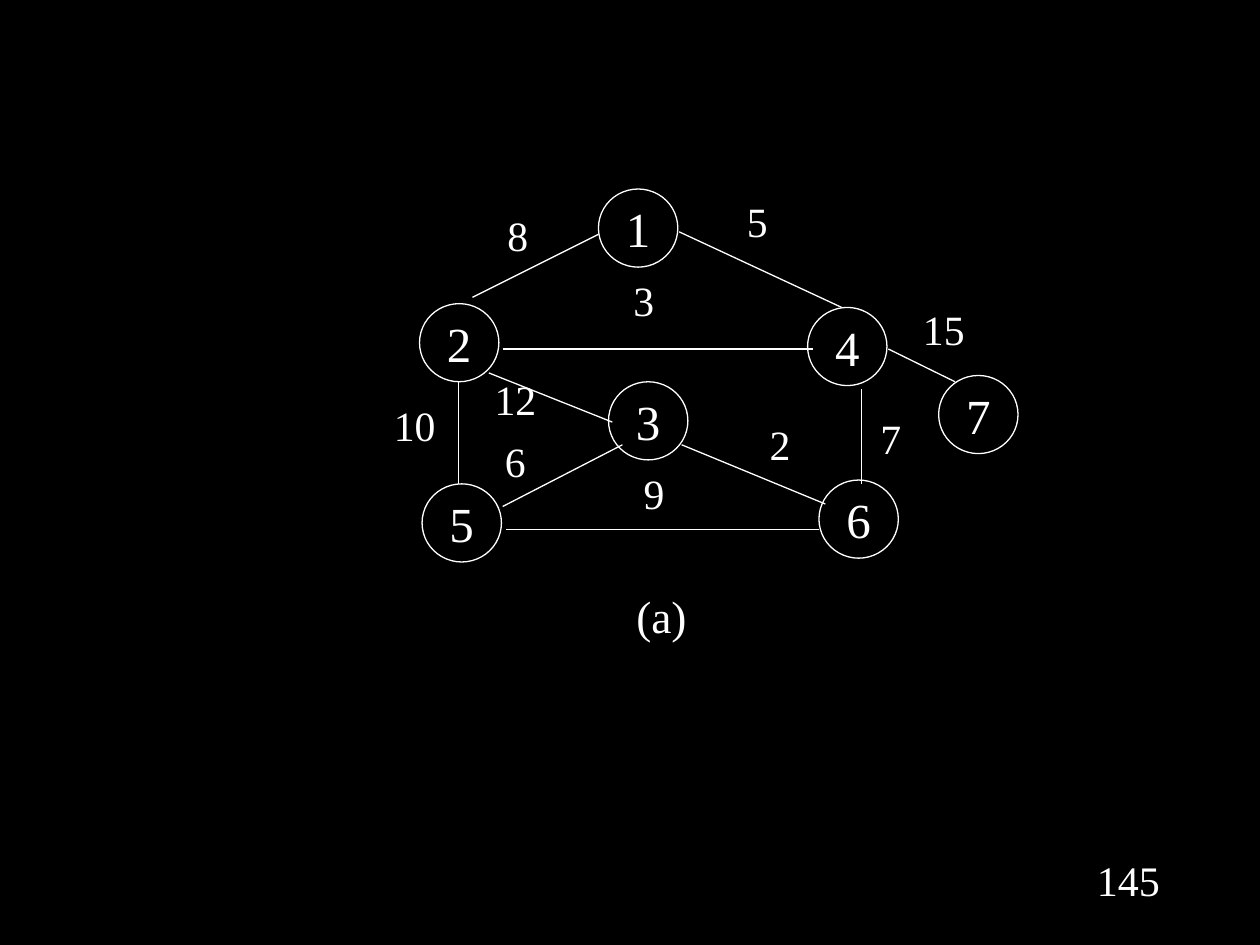
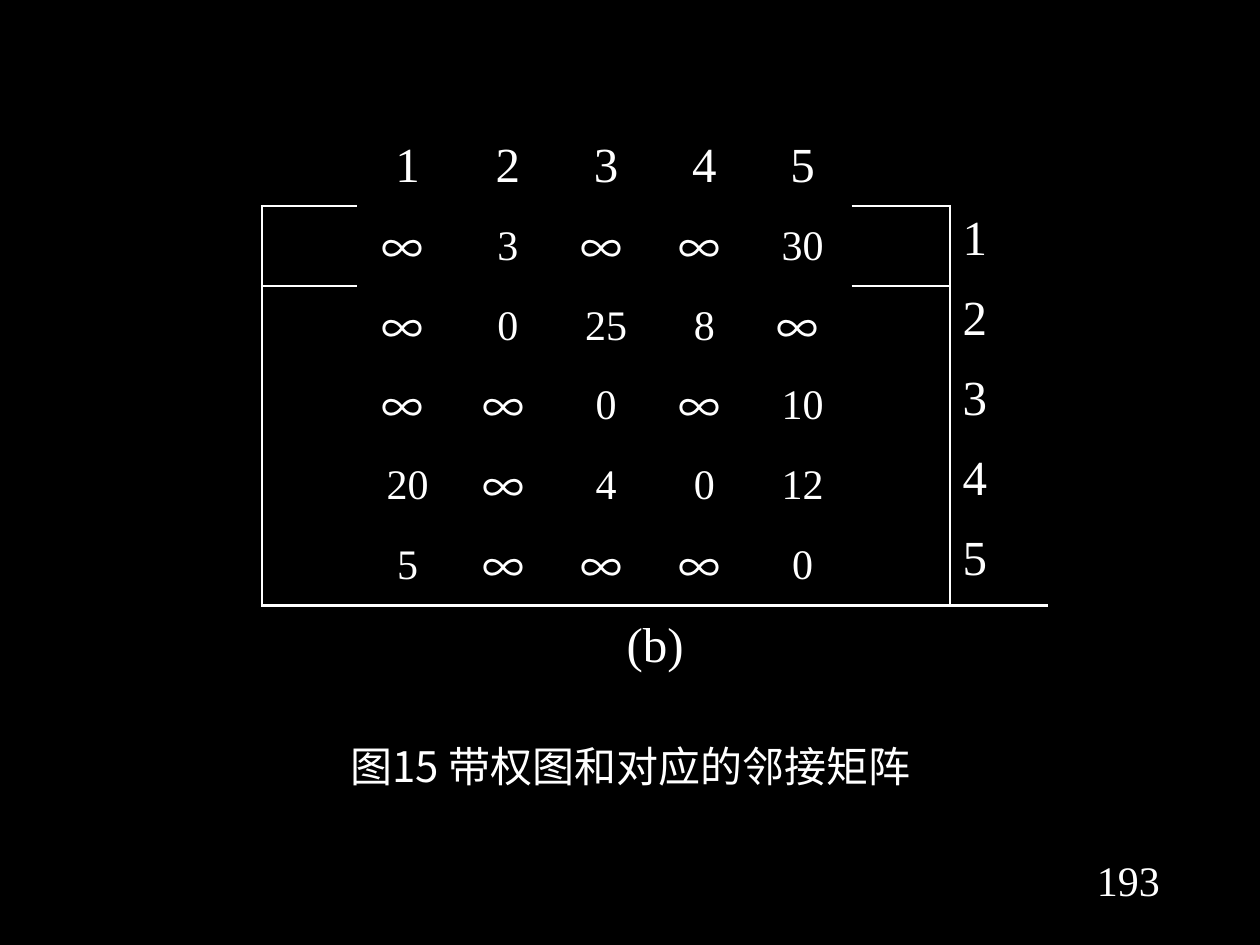
from pptx import Presentation
from pptx.dml.color import RGBColor
from pptx.enum.shapes import MSO_CONNECTOR, MSO_SHAPE
from pptx.enum.text import MSO_ANCHOR, PP_ALIGN
from pptx.oxml import parse_xml
from pptx.oxml.ns import nsdecls, qn
from pptx.util import Inches, Pt
from lxml.etree import SubElement

COLORS = {"background": "000000", "ink": "FFFFFF"}
LATIN, CHINESE = "Times New Roman", "Noto Sans CJK SC"
NO_TABLE_STYLE = "{2D5ABB26-0587-4C30-8999-92F81FD0307C}"
BORDER_WIDTH = Pt(1.47)

NODE_SIZE = (0.63, 0.62)
LABEL_SIZE = (0.58, 0.42)
# Graph positions are inches from the graph's top left corner.
NODES = {
    "1": (1.75, 0),
    "2": (0.33, 0.91),
    "3": (1.83, 1.53),
    "4": (3.41, 0.94),
    "5": (0.35, 2.34),
    "6": (3.5, 2.31),
    "7": (4.45, 1.48),
}
# Weight, label position, line start, line end
EDGES = [
    ("8", (0.82, 0.21), (1.75, 0.36), (0.75, 0.86)),
    ("5", (2.72, 0.1), (2.39, 0.34), (3.68, 0.94)),
    ("3", (1.82, 0.73), (0.99, 1.27), (3.45, 1.27)),
    ("15", (4.2, 0.96), (4.05, 1.27), (4.58, 1.53)),
    ("12", (0.8, 1.51), (0.88, 1.46), (1.86, 1.85)),
    ("10", (0, 1.72), (0.64, 1.53), (0.64, 2.34)),
    ("6", (0.8, 2), (0.99, 2.52), (1.94, 2.03)),
    ("2", (2.9, 1.87), (2.41, 2.03), (3.55, 2.5)),
    ("7", (3.78, 1.82), (3.84, 1.59), (3.84, 2.34)),
    ("9", (1.9, 2.26), (1.02, 2.7), (3.5, 2.7)),
]

MATRIX = [
    ["∞", "3", "∞", "∞", "30"],
    ["∞", "0", "25", "8", "∞"],
    ["∞", "∞", "0", "∞", "10"],
    ["20", "∞", "4", "0", "12"],
    ["5", "∞", "∞", "∞", "0"],
]


def write(text_frame, text, size, font=LATIN, align=PP_ALIGN.CENTER, spacing=None):
    text_frame.text = text
    paragraph = text_frame.paragraphs[0]
    paragraph.alignment = align
    paragraph.line_spacing = spacing
    run = paragraph.runs[0]
    run.font.size = Pt(size)
    run.font.name = font
    run.font.color.rgb = RGBColor.from_string(COLORS["ink"])
    SubElement(run.font._element, qn("a:ea")).set("typeface", font)


def remove_insets(text_frame):
    text_frame.margin_left = text_frame.margin_right = 0
    text_frame.margin_top = text_frame.margin_bottom = 0


def add_text(slide, box, text, size, font=LATIN, inset=True, spacing=None):
    shape = slide.shapes.add_textbox(*map(Inches, box))
    shape.text_frame.word_wrap = True
    if not inset:
        remove_insets(shape.text_frame)
    write(shape.text_frame, text, size, font, spacing=spacing)


def add_node(slide, left, top, name):
    shape = slide.shapes.add_shape(
        MSO_SHAPE.OVAL, *map(Inches, (left, top, *NODE_SIZE)))
    shape.shadow.inherit = False
    shape.fill.background()
    shape.line.color.rgb = RGBColor.from_string(COLORS["ink"])
    shape.line.width = Pt(0.75)
    remove_insets(shape.text_frame)
    shape.text_frame.vertical_anchor = MSO_ANCHOR.MIDDLE
    write(shape.text_frame, name, 28)


def add_edge(slide, start, end):
    connector = slide.shapes.add_connector(
        MSO_CONNECTOR.STRAIGHT, *map(Inches, (*start, *end)))
    connector.line.color.rgb = RGBColor.from_string(COLORS["ink"])
    connector.line.width = Pt(0.75)
    SubElement(connector.element.spPr, qn("a:effectLst"))


def add_graph(slide, left, top):
    def place(point):
        return left + point[0], top + point[1]

    for weight, label, start, end in EDGES:
        add_text(slide, (*place(label), *LABEL_SIZE), weight, 23.8,
                 inset=False, spacing=0.9)
        add_edge(slide, place(start), place(end))
    for name, position in NODES.items():
        add_node(slide, *place(position), name)
    add_text(slide, (*place((1.75, 3.22)), 1, 0.44), "(a)", 25.9,
             inset=False, spacing=0.9)


def set_borders(cell, sides):
    properties = cell._tc.get_or_add_tcPr()
    for side in "LRTB":
        if side in sides:
            properties.append(parse_xml(
                f'<a:ln{side} {nsdecls("a")} w="{BORDER_WIDTH}"><a:solidFill>'
                f'<a:srgbClr val="{COLORS["ink"]}"/></a:solidFill></a:ln{side}>'))
    cell.fill.background()


def bracket_sides(row, column, last_row):
    """Sides of a cell that belong to the brackets around the matrix."""
    sides = ""
    if row == 0:
        return "B" if column in (0, 6) else ""
    if row > last_row:
        return "T"
    if column in (0, 7):
        sides += "L"
    if column == 6:
        sides += "R"
    if column in (0, 6):
        sides += "T" if row == 1 else "B" if row == last_row else ""
    return sides


def add_matrix(slide, left, top, width, height):
    size = len(MATRIX)
    row_count, column_count = size + 2, size + 3
    frame = slide.shapes.add_table(
        row_count, column_count, *map(Inches, (left, top, width, height)))
    frame.element.xpath(".//a:tableStyleId")[0].text = NO_TABLE_STYLE
    table = frame.table
    table.first_row = table.horz_banding = False
    for column, column_width in zip(table.columns, [0.75, 0.81] + [0.78] * 6):
        column.width = Inches(column_width)

    for row in range(row_count):
        for column in range(column_count):
            cell = table.cell(row, column)
            cell.vertical_anchor = MSO_ANCHOR.MIDDLE
            set_borders(cell, bracket_sides(row, column, size))

    for index, values in enumerate(MATRIX, start=1):
        write(table.cell(0, index).text_frame, str(index), 28)
        row_name = table.cell(index, column_count - 1)
        row_name.vertical_anchor = MSO_ANCHOR.TOP
        write(row_name.text_frame, str(index), 28, align=PP_ALIGN.LEFT)
        for column, value in enumerate(values, start=1):
            text_frame = table.cell(index, column).text_frame
            if value == "∞":
                write(text_frame, "∞ ", 24, CHINESE)
            else:
                write(text_frame, value, 24)

    caption = table.cell(row_count - 1, 0)
    caption.merge(table.cell(row_count - 1, column_count - 1))
    write(caption.text_frame, "(b)", 28)


def add_base_slide(presentation, number):
    slide = presentation.slides.add_slide(presentation.slide_layouts[6])
    slide.background.fill.solid()
    slide.background.fill.fore_color.rgb = RGBColor.from_string(COLORS["background"])
    add_text(slide, (8.58, 6.73, 0.75, 0.5), number, 24)
    return slide


def main():
    presentation = Presentation()
    presentation.slide_width = Inches(10)
    presentation.slide_height = Inches(7.5)

    graph_slide = add_base_slide(presentation, "145")
    add_graph(graph_slide, 3, 1.5)

    matrix_slide = add_base_slide(presentation, "193")
    add_matrix(matrix_slide, 2.08, 1, 6.25, 4.44)
    add_text(matrix_slide, (2.08, 5.83, 5.92, 0.5),
             "图15 带权图和对应的邻接矩阵 ", 24, CHINESE)

    presentation.save("out.pptx")


if __name__ == "__main__":
    main()
